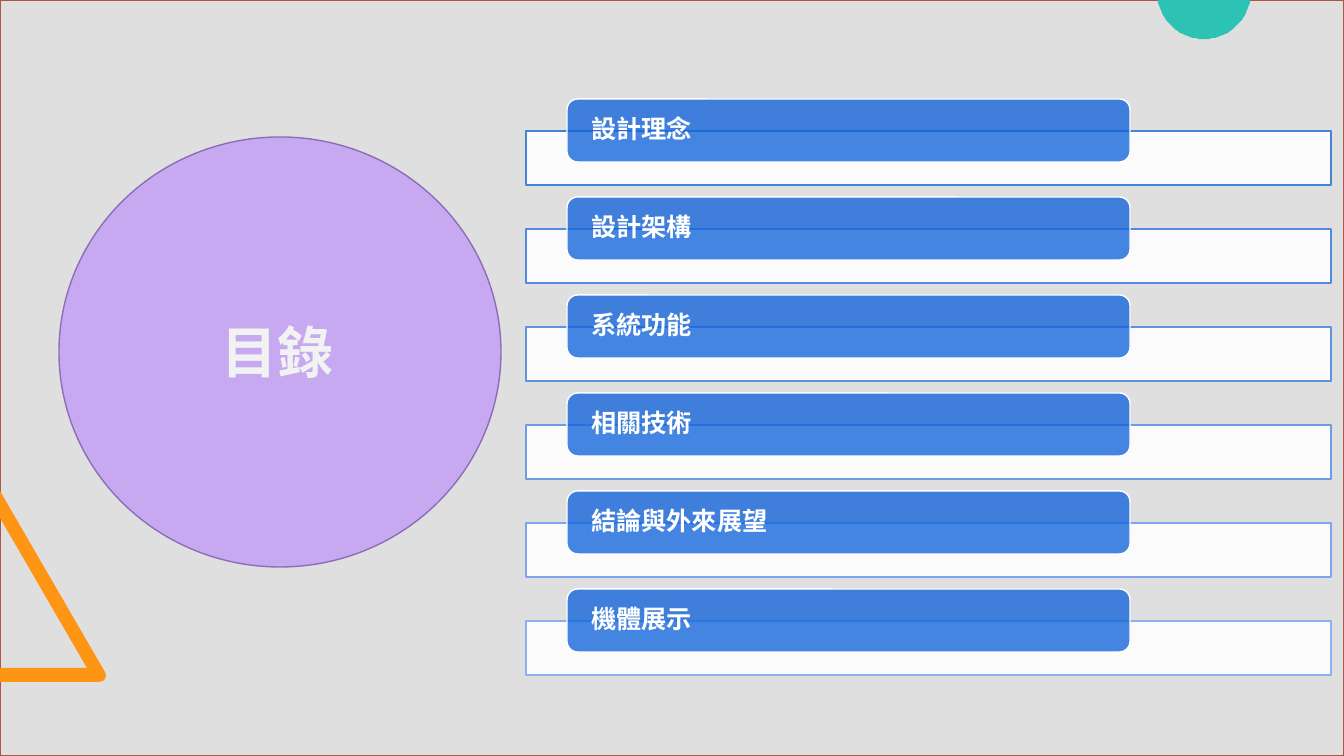
import math
from dataclasses import dataclass

import lxml.etree
import pptx
import pptx.dml.color
import pptx.enum.shapes
import pptx.enum.text
import pptx.oxml.ns
import pptx.util

SLIDE_WIDTH, SLIDE_HEIGHT = 1344, 756
SCALE = 12192000 / SLIDE_WIDTH
SHAPE = pptx.enum.shapes.MSO_SHAPE
ANCHOR = pptx.enum.text.MSO_ANCHOR


@dataclass(frozen=True)
class Theme:
    backdrop: str = "D8D8D8"
    frame: str = "AD5646"
    orange: str = "FF9514"
    teal: str = "2CC3B4"
    purple: str = "C097F8"
    purple_line: str = "8C6EB4"
    title: str = "F2F2F2"
    white: str = "FFFFFF"
    label: str = "1265DB"
    bar_lines: tuple = ("4583D6", "538ADC", "6192E2", "709BE6", "7FA4EB", "8EAFEF")
    font: str = "Arial"
    title_size: int = 40
    label_size: int = 18


THEME = Theme()
TOPICS = ("設計理念", "設計架構", "系統功能", "相關技術", "結論與外來展望", "機體展示")
ROW_PITCH = 98


def emu(px):
    return round(px * SCALE)


def color(value):
    return pptx.dml.color.RGBColor.from_string(value)


def paint(shape, fill, opacity=100, line=None):
    shape.shadow.inherit = False
    shape.fill.solid()
    shape.fill.fore_color.rgb = color(fill)
    if opacity < 100:
        solid = shape.fill._xPr.find(pptx.oxml.ns.qn("a:solidFill"))
        alpha = lxml.etree.SubElement(solid[0], pptx.oxml.ns.qn("a:alpha"))
        alpha.set("val", str(opacity * 1000))
    if line:
        shape.line.color.rgb = color(line)
        shape.line.width = pptx.util.Pt(1)
    else:
        shape.line.fill.background()


def add_preset(slide, kind, box, fill, opacity, line):
    shape = slide.shapes.add_shape(kind, *map(emu, box))
    paint(shape, fill, opacity, line)
    return shape


def add_outline(slide, points, fill):
    builder = slide.shapes.build_freeform(*points[0], scale=SCALE)
    builder.add_line_segments(points[1:], close=True)
    paint(builder.convert_to_shape(), fill)


def write_text(shape, text, size, font_color, anchor, insets):
    frame = shape.text_frame
    frame.word_wrap = True
    frame.vertical_anchor = anchor
    side, vertical = map(emu, insets)
    frame.margin_left = frame.margin_right = side
    frame.margin_top = frame.margin_bottom = vertical
    paragraph = frame.paragraphs[0]
    paragraph.text = text
    paragraph.alignment = pptx.enum.text.PP_ALIGN.LEFT
    paragraph.line_spacing = 0.9
    paragraph.font.name = THEME.font
    paragraph.font.size = pptx.util.Pt(size)
    paragraph.font.bold = True
    paragraph.font.color.rgb = color(font_color)


def add_decoration(slide):
    add_preset(slide, SHAPE.RECTANGLE, (0, 0, SLIDE_WIDTH, SLIDE_HEIGHT),
               THEME.backdrop, 80, THEME.frame)
    triangle = [(0, 682), (0, 668), (87, 668), (0, 518), (0, 491), (105, 672),
                (106, 675), (105, 679), (103, 681), (99, 682)]
    add_outline(slide, triangle, THEME.orange)
    center_x, center_y, radius = 1204, -8, 47
    start = math.degrees(math.asin(-center_y / radius))
    angles = [math.radians(start + (180 - 2 * start) * step / 48) for step in range(49)]
    arc = [(center_x + radius * math.cos(angle), center_y + radius * math.sin(angle))
           for angle in angles]
    add_outline(slide, arc, THEME.teal)


def add_title(slide):
    add_preset(slide, SHAPE.FLOWCHART_CONNECTOR, (59, 137, 442, 430),
               THEME.purple, 75, THEME.purple_line)
    title = slide.shapes.add_textbox(*map(emu, (212, 315, 135, 76)))
    write_text(title, "目錄", THEME.title_size, THEME.title, ANCHOR.BOTTOM, (10, 5))


def add_topic(slide, top, topic, bar_line):
    add_preset(slide, SHAPE.RECTANGLE, (526, top + 32, 805, 54),
               THEME.white, 90, bar_line)
    label = add_preset(slide, SHAPE.ROUNDED_RECTANGLE, (567, top, 563, 63),
                       THEME.label, 78, THEME.white)
    label.adjustments[0] = 0.17
    write_text(label, topic, THEME.label_size, THEME.white, ANCHOR.MIDDLE, (21, 0))


def main():
    presentation = pptx.Presentation()
    presentation.slide_width = emu(SLIDE_WIDTH)
    presentation.slide_height = emu(SLIDE_HEIGHT)
    slide = presentation.slides.add_slide(presentation.slide_layouts[6])
    add_decoration(slide)
    add_title(slide)
    for row, (topic, bar_line) in enumerate(zip(TOPICS, THEME.bar_lines)):
        add_topic(slide, 99 + row * ROW_PITCH, topic, bar_line)
    presentation.save("out.pptx")


if __name__ == "__main__":
    main()
